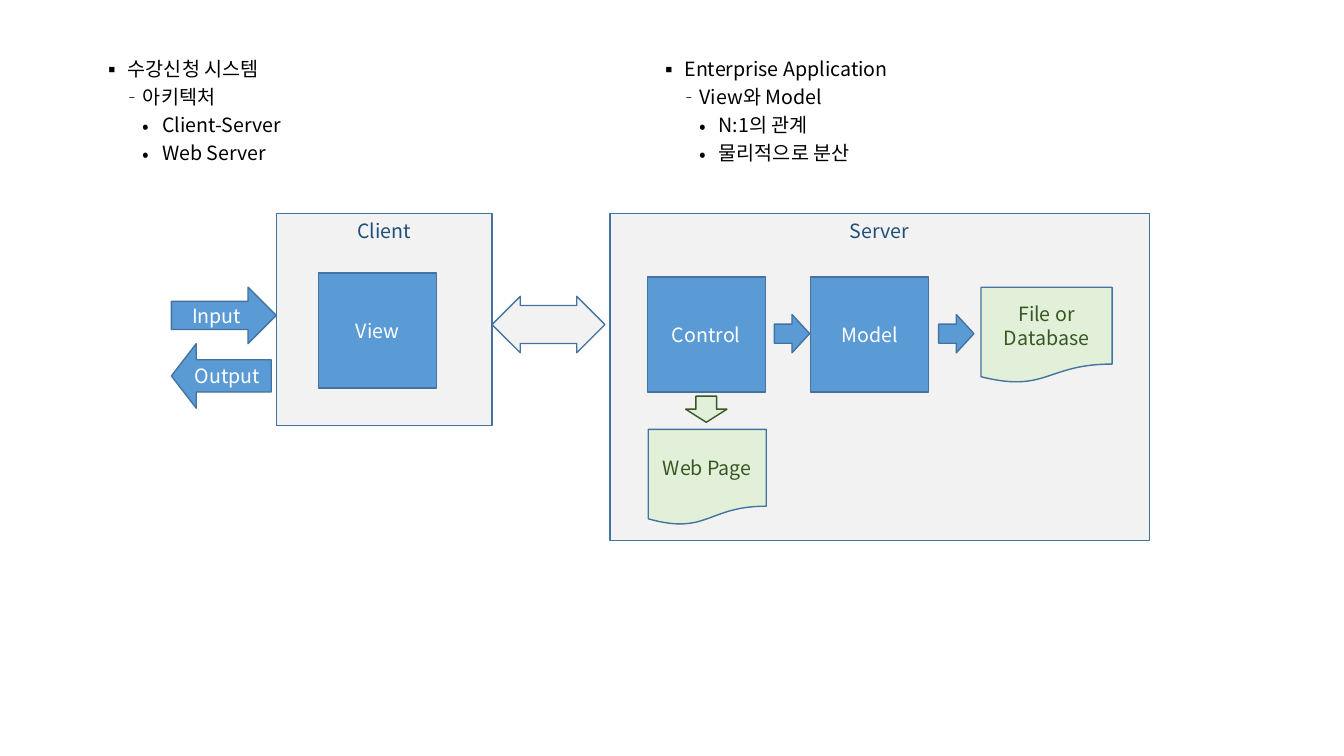
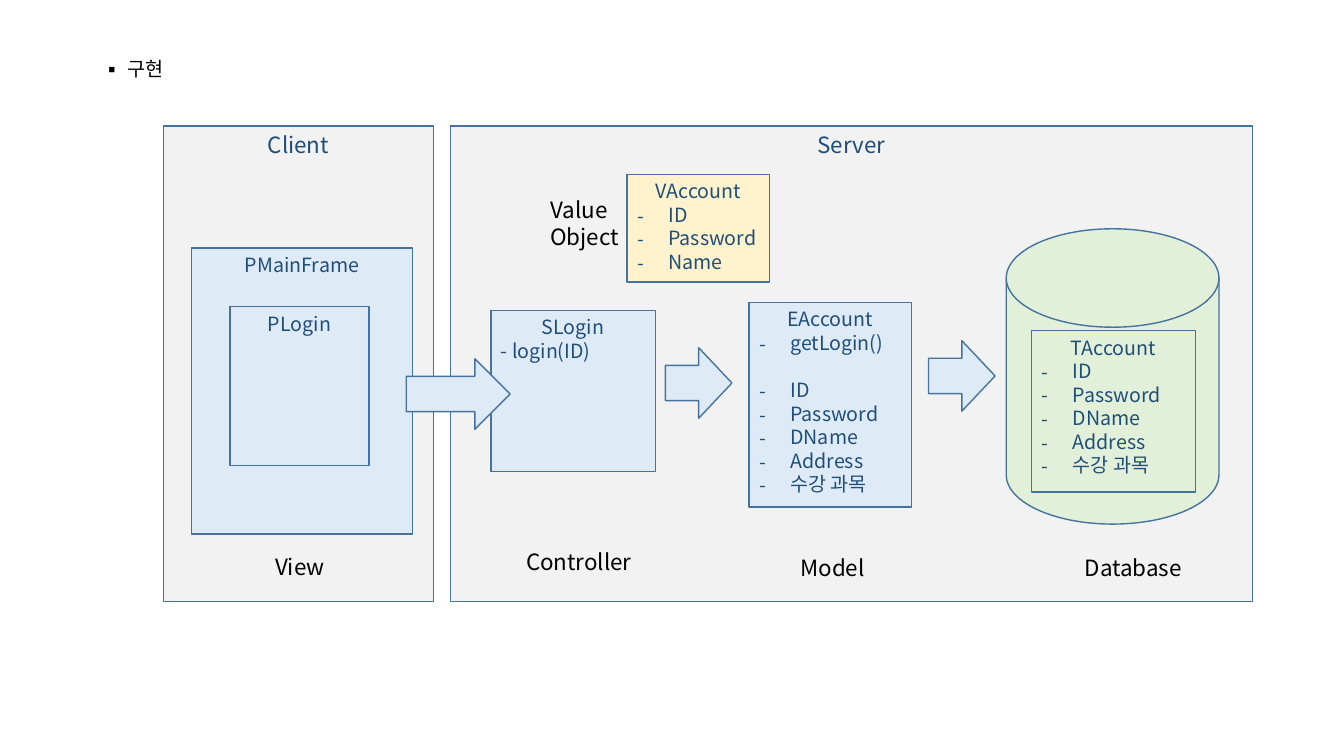
"""Build two slides on the architecture of a course registration system."""
from lxml import etree
from pptx import Presentation
from pptx import util as u
from pptx.dml.color import RGBColor
from pptx.enum import shapes, text
from pptx.oxml.ns import qn

FONT = "Noto Sans CJK KR"
COLORS = {
    "ink": "000000", "white": "FFFFFF", "navy": "1F4E79", "outline": "43739E",
    "panel": "F2F2F2", "blue": "5B9BD5", "pale_blue": "DEEBF7",
    "pale_green": "E2F0D9", "green": "385723", "cream": "FFF2CC",
}
OUTLINE_LEVELS = [("▪", 0.25, 0.25, 10), ("‐", 0.4, 0.2, 5), ("•", 0.59, 0.19, 5)]
FIELD_BULLET = ("-", 0.31, 0.31, 0)
GROUP_GAP = 17
KINDS = shapes.MSO_SHAPE
CENTER = text.PP_ALIGN.CENTER
MIDDLE = text.MSO_ANCHOR.MIDDLE


def rgb(name):
    return RGBColor.from_string(COLORS[name])


def add_bullet(paragraph, mark, left, hang):
    props = paragraph._p.get_or_add_pPr()
    props.set("marL", str(u.Inches(left)))
    props.set("indent", str(-u.Inches(hang)))
    etree.SubElement(props, qn("a:buFont")).set("typeface", FONT)
    etree.SubElement(props, qn("a:buChar")).set("char", mark)


def write(frame, line, first=False, size=14, color="ink", align=None,
          bullet=None, level=0, before=0, spacing=None):
    paragraph = frame.paragraphs[0] if first else frame.add_paragraph()
    paragraph.level = level
    paragraph.alignment = align or text.PP_ALIGN.LEFT
    if spacing:
        paragraph.line_spacing = spacing
    if before and not first:
        paragraph.space_before = u.Pt(before)
    if bullet:
        add_bullet(paragraph, *bullet)
    run = paragraph.add_run()
    run.text = line
    run.font.size = u.Pt(size)
    run.font.color.rgb = rgb(color)
    run.font.name = FONT
    etree.SubElement(run._r.get_or_add_rPr(), qn("a:ea")).set("typeface", FONT)


def add_box(slide, at, kind=KINDS.RECTANGLE, fill="panel", line="outline",
            adjust=()):
    box = slide.shapes.add_shape(kind, *map(u.Inches, at))
    box.shadow.inherit = False
    box.fill.solid()
    box.fill.fore_color.rgb = rgb(fill)
    box.line.color.rgb = rgb(line)
    box.line.width = u.Pt(1)
    for index, value in enumerate(adjust):
        box.adjustments[index] = value
    return box


def add_node(slide, at, *lines, color="white", fill="blue", **look):
    frame = add_box(slide, at, fill=fill, **look).text_frame
    frame.vertical_anchor = MIDDLE
    for index, line in enumerate(lines):
        write(frame, line, first=index == 0, color=color, align=CENTER)


def add_panel(slide, at, heading, size=14, fill="panel"):
    frame = add_box(slide, at, fill=fill).text_frame
    frame.vertical_anchor = text.MSO_ANCHOR.TOP
    write(frame, heading, first=True, size=size, color="navy", align=CENTER)
    return frame


def add_class(slide, at, heading, groups, fill="pale_blue"):
    frame = add_panel(slide, at, heading, fill=fill)
    for group_index, group in enumerate(groups):
        for index, member in enumerate(group):
            gap = GROUP_GAP if group_index and not index else 0
            write(frame, member, color="navy", bullet=FIELD_BULLET[:3], before=gap)


def add_text_box(slide, at):
    frame = slide.shapes.add_textbox(*map(u.Inches, at)).text_frame
    frame.word_wrap = True
    return frame


def add_outline(slide, at, items):
    frame = add_text_box(slide, at)
    for index, (level, line) in enumerate(items):
        *bullet, before = OUTLINE_LEVELS[level]
        write(frame, line, first=index == 0, bullet=bullet, level=level,
              before=before, spacing=0.9)


def add_label(slide, at, caption):
    write(add_text_box(slide, at), caption, first=True, size=16)


def build_architecture(slide):
    add_outline(slide, (0.92, 0.54, 5.36, 6.22), [
        (0, "수강신청 시스템"), (1, "아키텍처"),
        (2, "Client-Server"), (2, "Web Server")])
    add_outline(slide, (6.44, 0.54, 6.08, 6.22), [
        (0, "Enterprise Application"), (1, "View와 Model"),
        (2, "N:1의 관계"), (2, "물리적으로 분산")])
    add_panel(slide, (2.74, 2.12, 2.14, 2.1), "Client")
    add_panel(slide, (6.05, 2.12, 5.35, 3.24), "Server")
    for left, top, name in [(6.42, 2.75, "Control"), (8.04, 2.75, "Model"),
                            (3.16, 2.71, "View")]:
        add_node(slide, (left, top, 1.17, 1.14), name)
    document = dict(kind=KINDS.FLOWCHART_DOCUMENT, fill="pale_green", color="green")
    add_node(slide, (9.73, 2.85, 1.3, 0.95), "File or", "Database", **document)
    add_node(slide, (6.43, 4.26, 1.17, 0.95), "Web Page", **document)
    add_box(slide, (4.88, 2.94, 1.12, 0.56), KINDS.LEFT_RIGHT_ARROW,
            adjust=(0.674, 0.5))
    for left in (7.68, 9.31):
        add_box(slide, (left, 3.12, 0.35, 0.38), KINDS.RIGHT_ARROW, "blue")
    add_box(slide, (6.8, 3.93, 0.41, 0.26), KINDS.DOWN_ARROW, "pale_green", "green")
    add_node(slide, (1.7, 2.85, 1.04, 0.56), "Input", kind=KINDS.RIGHT_ARROW)
    add_node(slide, (1.7, 3.41, 0.99, 0.64), "Output", kind=KINDS.LEFT_ARROW,
             adjust=(0.5, 0.385))


def build_implementation(slide):
    add_panel(slide, (1.62, 1.25, 2.68, 4.72), "Client", size=16)
    add_panel(slide, (4.47, 1.25, 7.95, 4.72), "Server", size=16)
    add_outline(slide, (0.92, 0.54, 5.36, 6.22), [(0, "구현")])
    add_panel(slide, (1.9, 2.46, 2.19, 2.84), "PMainFrame", fill="pale_blue")
    add_panel(slide, (2.28, 3.04, 1.38, 1.58), "PLogin", fill="pale_blue")
    login = add_panel(slide, (4.87, 3.08, 1.63, 1.6), "SLogin", fill="pale_blue")
    write(login, "- login(ID)", color="navy")
    account = ["ID", "Password", "DName", "Address", "수강 과목"]
    add_class(slide, (7.43, 3, 1.61, 2.03), "EAccount", [["getLogin()"], account])
    add_class(slide, (6.22, 1.73, 1.41, 1.07), "VAccount",
              [["ID", "Password", "Name"]], fill="cream")
    add_box(slide, (9.98, 2.27, 2.11, 2.93), KINDS.FLOWCHART_MAGNETIC_DISK,
            "pale_green")
    add_class(slide, (10.23, 3.28, 1.63, 1.6), "TAccount", [account],
              fill="pale_green")
    for left, top, width in [(4.03, 3.56, 1.03), (6.6, 3.45, 0.66),
                             (9.21, 3.38, 0.66)]:
        add_box(slide, (left, top, width, 0.7), KINDS.RIGHT_ARROW, "pale_blue")
    for left, top, width, height, caption in [
            (2.63, 5.44, 1.02, 0.37, "View"),
            (5.12, 5.39, 1.33, 0.37, "Controller"),
            (7.84, 5.45, 1.02, 0.37, "Model"),
            (10.66, 5.45, 1.19, 0.37, "Database"),
            (5.36, 1.9, 0.98, 0.64, "Value Object")]:
        add_label(slide, (left, top, width, height), caption)


def main():
    deck = Presentation()
    deck.slide_width, deck.slide_height = u.Inches(13.33), u.Inches(7.5)
    for build in (build_architecture, build_implementation):
        build(deck.slides.add_slide(deck.slide_layouts[6]))
    deck.save("out.pptx")


if __name__ == "__main__":
    main()
